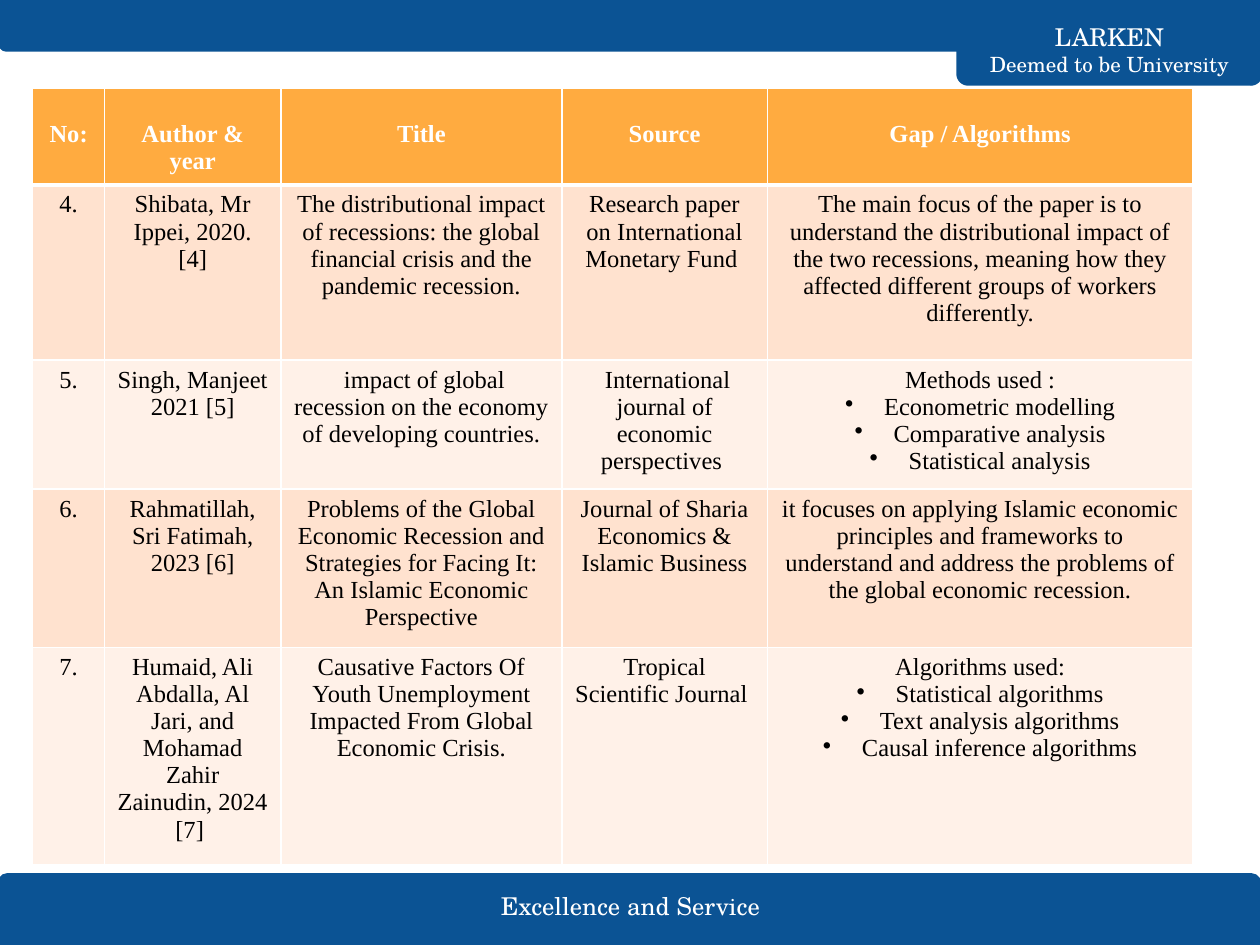
from dataclasses import dataclass

from lxml import etree
from pptx import Presentation
from pptx.dml.color import RGBColor
from pptx.enum.shapes import MSO_SHAPE
from pptx.enum.text import MSO_ANCHOR, PP_ALIGN
from pptx.oxml.ns import qn
from pptx.util import Inches, Pt

CENTER = PP_ALIGN.CENTER
MIDDLE = MSO_ANCHOR.MIDDLE
BAND = MSO_SHAPE.ROUND_2_SAME_RECTANGLE

COLUMNS = [0.57, 1.4, 2.23, 1.63, 3.38]
ROWS = [0.73, 1.39, 0.96, 1.17, 1.6]
HEADINGS = ["No:", "Author & year", "Title", "Source", "Gap / Algorithms"]
PAPERS = [
    [
        "4.",
        "Shibata, Mr Ippei, 2020. [4]",
        "The distributional impact of recessions: the global financial crisis and the pandemic recession.",
        "Research paper on International Monetary Fund ",
        "The main focus of the paper is to understand the distributional impact of the two recessions, "
        "meaning how they affected different groups of workers differently.",
    ],
    [
        "5.",
        "Singh, Manjeet\n2021 [5]",
        " impact of global recession on the economy of developing countries.",
        " International journal of economic perspectives ",
        "Methods used :\n• Econometric modelling\n• Comparative analysis\n• Statistical analysis",
    ],
    [
        "6.",
        "Rahmatillah, Sri Fatimah, 2023 [6]",
        "Problems of the Global Economic Recession and Strategies for Facing It: An Islamic Economic Perspective",
        "Journal of Sharia Economics & Islamic Business",
        "it focuses on applying Islamic economic principles and frameworks to understand and address "
        "the problems of the global economic recession.",
    ],
    [
        "7.",
        "Humaid, Ali Abdalla, Al Jari, and Mohamad Zahir Zainudin, 2024 [7] ",
        "Causative Factors Of Youth Unemployment Impacted From Global Economic Crisis.",
        "Tropical Scientific Journal ",
        "Algorithms used:\n• Statistical algorithms\n• Text analysis algorithms\n• Causal inference algorithms",
    ],
]


@dataclass(frozen=True)
class Theme:
    """Colours, fonts and type sizes of the deck."""

    blue: RGBColor = RGBColor(0x0B, 0x53, 0x94)
    white: RGBColor = RGBColor(0xFF, 0xFF, 0xFF)
    black: RGBColor = RGBColor(0, 0, 0)
    orange: RGBColor = RGBColor(0xFF, 0xAB, 0x40)
    peach: RGBColor = RGBColor(0xFF, 0xE2, 0xCF)
    cream: RGBColor = RGBColor(0xFF, 0xF1, 0xE8)
    brand_font: str = "TeX Gyre Schola"
    table_font: str = "Times New Roman"
    body_size: int = 14
    small_size: int = 12


class SlideBuilder:
    """Draws styled elements on the current slide."""

    def __init__(self, slide, theme):
        self.slide = slide
        self.theme = theme

    def span(self, para, text, size, font, color, bold=False):
        """Add one formatted run to a paragraph."""
        span = para.add_run()
        span.text = text
        span.font.size = Pt(size)
        span.font.name = font
        span.font.color.rgb = color
        span.font.bold = bold

    def band(self, left, top, width, height, rotation=0):
        """Add a blue band with two rounded corners."""
        band = self.slide.shapes.add_shape(BAND, *map(Inches, (left, top, width, height)))
        band.adjustments[0] = 0.125
        band.adjustments[1] = 0
        band.rotation = rotation
        band.shadow.inherit = False
        band.fill.solid()
        band.fill.fore_color.rgb = self.theme.blue
        band.line.color.rgb = self.theme.blue
        band.line.width = Pt(1.5)

    def label(self, left, top, width, height, lines):
        """Add centred white lines given as text and size pairs."""
        box = self.slide.shapes.add_textbox(*map(Inches, (left, top, width, height)))
        frame = box.text_frame
        frame.word_wrap = True
        frame.vertical_anchor = MIDDLE
        frame.margin_left = frame.margin_right = Inches(0.1)
        frame.margin_top = frame.margin_bottom = Inches(0.1)
        para = frame.paragraphs[0]
        para.alignment = CENTER
        for index, (text, size) in enumerate(lines):
            if index:
                para.add_line_break()
            self.span(para, text, size, self.theme.brand_font, self.theme.white)

    def bullet(self, para):
        """Give a paragraph a round bullet with a hanging indent."""
        properties = para._p.get_or_add_pPr()
        properties.set("marL", str(Inches(0.31)))
        properties.set("indent", str(-Inches(0.31)))
        etree.SubElement(properties, qn("a:buChar"), char="•")

    def borders(self, cell, top, bottom):
        """Draw white cell borders with the given top and bottom widths."""
        properties = cell._tc.get_or_add_tcPr()
        for side, width in (("L", 1), ("R", 1), ("T", top), ("B", bottom)):
            line = etree.SubElement(properties, qn(f"a:ln{side}"), w=str(Pt(width)))
            fill = etree.SubElement(line, qn("a:solidFill"))
            etree.SubElement(fill, qn("a:srgbClr"), val=str(self.theme.white))

    def cell(self, cell, text, row):
        """Fill one table cell according to its row."""
        theme = self.theme
        header = row == 0
        self.borders(cell, 3 if row == 1 else 1, 3 if header else 1)
        cell.fill.solid()
        cell.fill.fore_color.rgb = theme.orange if header else (theme.cream, theme.peach)[row % 2]
        cell.margin_left = cell.margin_right = Inches(0.1)
        cell.margin_top = Inches(0.26 if header else 0.05)
        cell.margin_bottom = Inches(0.04)
        for index, line in enumerate(text.split("\n")):
            frame = cell.text_frame
            para = frame.add_paragraph() if index else frame.paragraphs[0]
            para.alignment = CENTER
            if line.startswith("• "):
                self.bullet(para)
            color = theme.white if header else theme.black
            self.span(para, line.removeprefix("• "), theme.body_size, theme.table_font, color, header)

    def table(self, left, top, columns, rows, records):
        """Add a table with the given column widths and row heights."""
        frame = self.slide.shapes.add_table(
            len(rows), len(columns), Inches(left), Inches(top), Inches(sum(columns)), Inches(sum(rows))
        )
        table = frame.table
        for column, width in zip(table.columns, columns):
            column.width = Inches(width)
        for row, height in zip(table.rows, rows):
            row.height = Inches(height)
        for row, record in enumerate(records):
            for column, text in enumerate(record):
                self.cell(table.cell(row, column), text, row)


def main():
    """Build the literature review slide."""
    theme = Theme()
    deck = Presentation()
    deck.slide_width = Inches(10)
    deck.slide_height = Inches(7.5)
    page = SlideBuilder(deck.slides.add_slide(deck.slide_layouts[6]), theme)
    page.band(-0.01, 6.94, 10.01, 0.56)
    page.label(3.66, 7.03, 2.69, 0.32, [("Excellence and Service", theme.body_size)])
    page.band(7.6, 0, 2.41, 0.67, 180)
    page.band(0, 0, 10.01, 0.4, 180)
    page.label(
        7.6, 0.27, 2.41, 0.25,
        [("LARKEN", theme.body_size), ("Deemed to be University", theme.small_size)],
    )
    page.table(0.26, 0.7, COLUMNS, ROWS, [HEADINGS, *PAPERS])
    deck.save("out.pptx")


if __name__ == "__main__":
    main()
